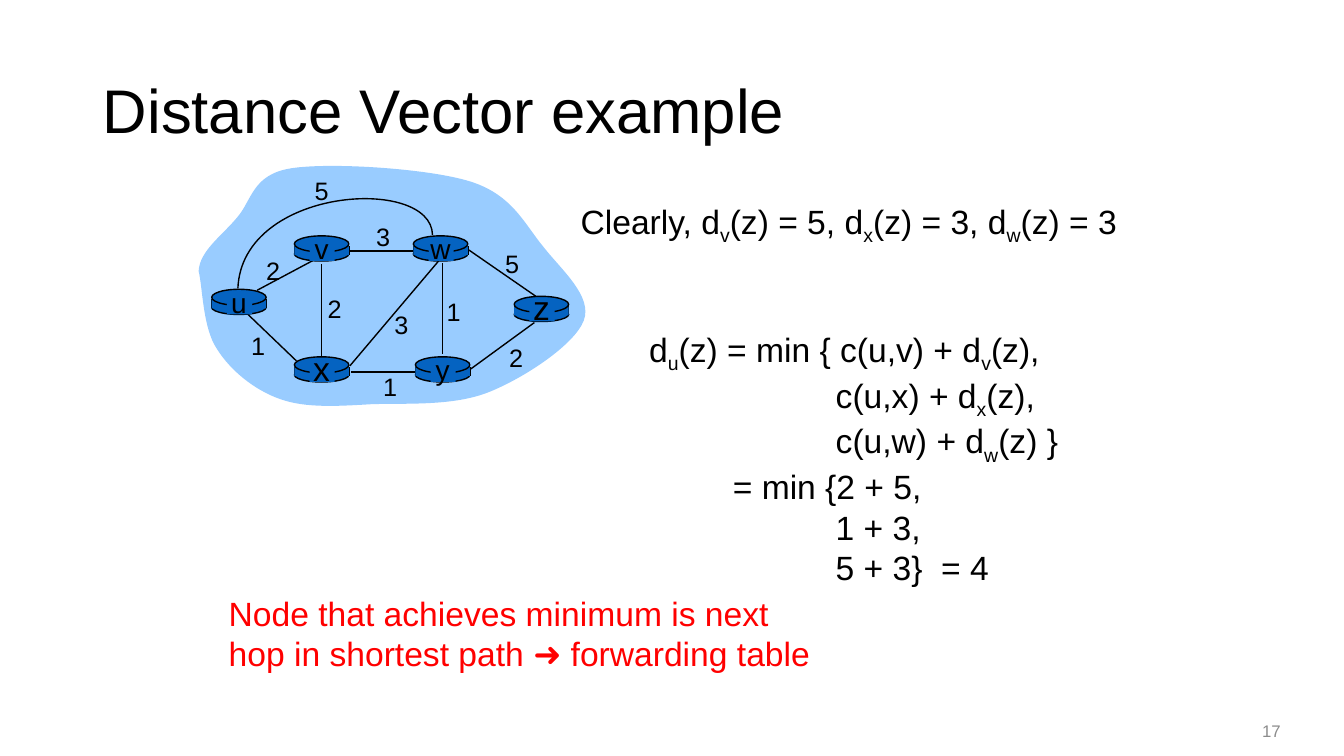
from lxml import etree
from pptx import Presentation
from pptx.dml.color import RGBColor
from pptx.enum.shapes import MSO_CONNECTOR, MSO_SHAPE
from pptx.enum.text import MSO_ANCHOR, MSO_AUTO_SIZE, PP_ALIGN
from pptx.oxml.ns import qn
from pptx.util import Inches, Pt

OVAL, RECTANGLE = MSO_SHAPE.OVAL, MSO_SHAPE.RECTANGLE
STRAIGHT = MSO_CONNECTOR.STRAIGHT
LEFT, CENTER = PP_ALIGN.LEFT, PP_ALIGN.CENTER
TOP, MIDDLE = MSO_ANCHOR.TOP, MSO_ANCHOR.MIDDLE
GROW, FIXED = MSO_AUTO_SIZE.SHAPE_TO_FIT_TEXT, MSO_AUTO_SIZE.NONE

THEME = {
    "font": "Arial",
    "black": RGBColor(0x00, 0x00, 0x00),
    "gray": RGBColor(0x8C, 0x8C, 0x8C),
    "red": RGBColor(0xFF, 0x00, 0x00),
    "cloud": RGBColor(0x99, 0xCC, 0xFF),
    "router": RGBColor(0x05, 0x63, 0xC1),
    "title": 44, "body": 24, "node": 20, "cost": 18, "number": 12,
}

TITLE = "Distance Vector example "
ROUTERS = {
    "u": (2.1, 2.87, 0.36, "node"), "x": (2.92, 3.54, 0.37, "body"),
    "v": (2.92, 2.34, 0.34, "node"), "w": (4.1, 2.34, 0.4, "node"),
    "y": (4.12, 3.54, 0.34, "node"), "z": (5.1, 2.94, 0.37, "body"),
}
EDGES = [
    (2.55, 2.88, 3.15, 2.56), (4.39, 2.61, 4.39, 3.51), (3.19, 2.62, 3.19, 3.55),
    (3.47, 3.63, 4.35, 2.59), (4.67, 3.66, 5.3, 3.2), (4.12, 3.69, 3.48, 3.69),
    (2.94, 3.58, 2.46, 3.12), (4.11, 2.49, 3.47, 2.49), (5.33, 2.95, 4.65, 2.48),
]
COSTS = [
    ("2", 2.54, 2.48), ("2", 3.15, 2.86), ("1", 2.39, 3.23), ("3", 3.81, 3.02),
    ("1", 3.7, 3.63), ("1", 4.33, 2.89), ("2", 4.95, 3.35), ("5", 4.91, 2.41),
    ("3", 3.63, 2.15), ("5", 3.02, 1.69),
]
CLOUD = [
    (1.97, 2.69), (1.98, 2.49), (2.2, 2.34), (2.35, 2.16), (2.5, 1.99), (2.5, 1.73),
    (2.89, 1.67), (3.27, 1.61), (4.24, 1.67), (4.66, 1.8), (5.08, 1.93), (5.2, 2.22),
    (5.39, 2.45), (5.57, 2.68), (5.88, 2.94), (5.79, 3.18), (5.7, 3.42), (5.2, 3.75),
    (4.85, 3.89), (4.5, 4.03), (4.04, 4), (3.69, 4.01), (3.35, 4.03), (3.03, 4.05),
    (2.78, 3.96), (2.52, 3.87), (2.28, 3.67), (2.15, 3.46), (2.01, 3.25), (2.01, 2.85),
    (1.97, 2.69),
]
LONG_EDGE = [(4.29, 2.33), (4.28, 1.74), (2.4, 1.85), (2.36, 2.86)]
KNOWN = [("Clearly, d_v(z) = 5, d_x(z) = 3, d_w(z) = 3", 0)]
EQUATION = [
    ("d_u(z) = min { c(u,v) + d_v(z),", 0), ("c(u,x) + d_x(z),", 1.85),
    ("c(u,w) + d_w(z) }", 1.85), ("= min {2 + 5,", 0.83),
    ("1 + 3,", 1.85), ("5 + 3}  = 4", 1.85),
]
CONCLUSION = [
    ("Node that achieves minimum is next", 0),
    ("hop in shortest path \u279c forwarding table", 0),
]


def assign(target, values):
    for name, value in values.items():
        setattr(target, name, value)


def add_run(paragraph, text, size, color, subscript=False):
    run = paragraph.add_run()
    run.text = text
    assign(run.font, {"name": THEME["font"], "size": Pt(THEME[size])})
    run.font.color.rgb = THEME[color]
    if subscript:
        run._r.get_or_add_rPr().set("baseline", "-25000")


def write(shape, lines, size, color="black", align=LEFT, anchor=TOP, wrap=False, spacing=None):
    frame = shape.text_frame
    assign(frame, {"word_wrap": wrap, "vertical_anchor": anchor,
                   "auto_size": FIXED if wrap else GROW})
    for index, (text, indent) in enumerate(lines):
        paragraph = frame.add_paragraph() if index else frame.paragraphs[0]
        assign(paragraph, {"alignment": align, "line_spacing": spacing})
        if indent:
            paragraph._p.get_or_add_pPr().set("marL", str(Inches(indent)))
        first, *rest = text.split("_")
        add_run(paragraph, first, size, color)
        for part in rest:
            add_run(paragraph, part[0], size, color, True)
            add_run(paragraph, part[1:], size, color)


def add_text(shapes, box, lines, size, **options):
    write(shapes.add_textbox(*map(Inches, box)), lines, size, **options)


def paint(shape, fill=None, outlined=False):
    shape.shadow.inherit = False
    if fill:
        shape.fill.solid()
        shape.fill.fore_color.rgb = THEME[fill]
    else:
        shape.fill.background()
    if outlined:
        shape.line.color.rgb = THEME["black"]
        shape.line.width = Pt(1)
    else:
        shape.line.fill.background()


def add_block(shapes, kind, box, outlined=False):
    paint(shapes.add_shape(kind, *map(Inches, box)), "router", outlined)


def add_line(shapes, ends):
    line = shapes.add_connector(STRAIGHT, *map(Inches, ends))
    line.line.color.rgb = THEME["black"]
    line.line.width = Pt(1)
    etree.SubElement(line._element.spPr, qn("a:effectLst"))


def add_curve(shapes, controls, close, **style):
    first, *rest = [(Inches(x), Inches(y)) for x, y in controls]
    builder = shapes.build_freeform(*first)
    builder.add_line_segments(rest, close=close)
    shape = builder.convert_to_shape()
    segments = list(shape._element.iter(qn("a:lnTo")))[:len(rest)]
    for start in range(0, len(segments), 3):
        bend, *others = segments[start:start + 3]
        curve = etree.Element(qn("a:cubicBezTo"))
        bend.addprevious(curve)
        for segment in (bend, *others):
            curve.append(segment[0])
            segment.getparent().remove(segment)
    paint(shape, **style)


def add_router(shapes, name, left, top, label_width, size):
    width, body_top, body_height = 0.54, top + 0.1, 0.09
    add_block(shapes, OVAL, (left, top + 0.11, width, 0.14), True)
    for x in (left, left + width):
        add_line(shapes, (x, body_top, x, body_top + body_height))
    add_block(shapes, RECTANGLE, (left, body_top, width, body_height))
    add_block(shapes, OVAL, (left, top, width, 0.16), True)
    add_block(shapes, RECTANGLE, (left + 0.15, top + 0.02, 0.25, 0.23))
    rise, height = (0.09, 0.44) if size == "node" else (0.14, 0.51)
    label_left = left + (width - label_width) / 2
    add_text(shapes, (label_left, top - rise, label_width, height), [(name, 0)],
             size, align=CENTER)


presentation = Presentation()
assign(presentation, {"slide_width": Inches(13.33), "slide_height": Inches(7.5)})
slide = presentation.slides.add_slide(presentation.slide_layouts[5])

title = slide.shapes.title
assign(title, dict(zip(("left", "top", "width", "height"), map(Inches, (0.92, 0.4, 11.5, 1.45)))))
write(title, [(TITLE, 0)], "title", anchor=MIDDLE, wrap=True, spacing=0.9)
add_text(slide.shapes, (12.19, 7.1, 0.84, 0.3), [("17", 0)], "number",
         color="gray", align=CENTER, anchor=MIDDLE, wrap=True)

network = slide.shapes.add_group_shape().shapes
add_curve(network, CLOUD, True, fill="cloud")
for edge in EDGES:
    add_line(network, edge)
add_curve(network, LONG_EDGE, False, outlined=True)
for name, router in ROUTERS.items():
    add_router(network, name, *router)
for cost, left, top in COSTS:
    add_text(network, (left, top, 0.34, 0.4), [(cost, 0)], "cost", align=CENTER)

add_text(slide.shapes, (5.66, 1.94, 5.62, 0.5), KNOWN, "body")
add_text(slide.shapes, (6.34, 3.21, 4.31, 2.52), EQUATION, "body")
add_text(slide.shapes, (2.17, 5.83, 6.08, 0.91), CONCLUSION, "body", color="red")

presentation.save("out.pptx")
